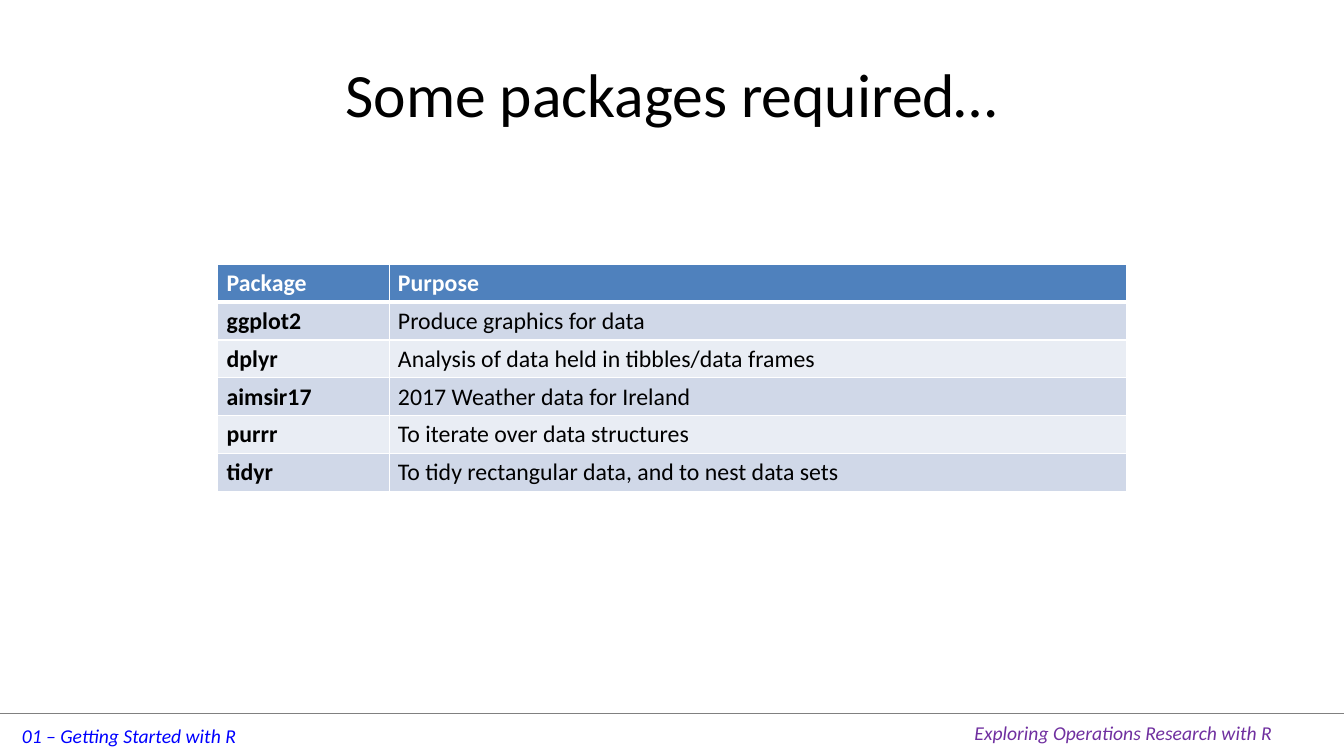
from lxml import etree
from pptx import Presentation
from pptx.dml.color import RGBColor
from pptx.enum import shapes, text
from pptx.oxml import ns
from pptx.util import Pt

WHITE, BLACK = "FFFFFF", "000000"
HEADER_FILL = "4F81BD"
BAND_FILLS = ("D0D8E8", "E9EDF4")

PACKAGES = [
    ("Package", "Purpose"),
    ("ggplot2", "Produce graphics for data"),
    ("dplyr", "Analysis of data held in tibbles/data frames"),
    ("aimsir17", "2017 Weather data for Ireland"),
    ("purrr", "To iterate over data structures"),
    ("tidyr", "To tidy rectangular data, and to nest data sets"),
]


def rgb(hex_code):
    return RGBColor.from_string(hex_code)


def write(frame, words, size, color, **formats):
    paragraph = frame.paragraphs[0]
    run = paragraph.add_run()
    run.text = words
    run.font.color.rgb = rgb(color)
    for name, value in {"name": "Calibri", "size": Pt(size), **formats}.items():
        setattr(run.font, name, value)
    return paragraph


def set_title(slide, words):
    title = slide.shapes.title
    place = {"left": 48, "top": 21.6, "width": 864, "height": 90}
    for name, value in place.items():
        setattr(title, name, Pt(value))
    title.text_frame.vertical_anchor = text.MSO_ANCHOR.MIDDLE
    heading = write(title.text_frame, words, 44, BLACK)
    heading.alignment = text.PP_ALIGN.CENTER


def add_rule(slide, y, width):
    rule = slide.shapes.add_connector(
        shapes.MSO_CONNECTOR.STRAIGHT, 0, Pt(y), Pt(width), Pt(y))
    rule.line.color.rgb = rgb("808080")
    rule.line.width = Pt(0.25)
    etree.SubElement(rule._element.spPr, ns.qn("a:effectLst"))


def add_footer(slide, left, top, width, words, color):
    footer = slide.shapes.add_textbox(Pt(left), Pt(top), Pt(width), Pt(24.5))
    footer.text_frame.word_wrap = False
    write(footer.text_frame, words, 14, color, italic=True)


def set_borders(cell, bottom):
    properties = cell._tc.get_or_add_tcPr()
    widths = {"lnL": 1, "lnR": 1, "lnT": 1, "lnB": bottom}
    for position, (side, width) in enumerate(widths.items()):
        border = etree.Element(ns.qn("a:" + side), w=str(Pt(width)))
        fill = etree.SubElement(border, ns.qn("a:solidFill"))
        etree.SubElement(fill, ns.qn("a:srgbClr"), val=WHITE)
        # Borders come before the cell's fill
        properties.insert(position, border)


def add_package_table(slide, left, top, widths, row_height):
    frame = slide.shapes.add_table(
        len(PACKAGES), len(widths), Pt(left), Pt(top),
        Pt(sum(widths)), Pt(row_height * len(PACKAGES)))
    table = frame.table
    for column, width in zip(table.columns, widths):
        column.width = Pt(width)
    margins = {"margin_left": 6.3, "margin_right": 6.3,
               "margin_top": 3.3, "margin_bottom": 3.3}
    for r, entries in enumerate(PACKAGES):
        header = r == 0
        for c, words in enumerate(entries):
            cell = table.cell(r, c)
            for name, value in margins.items():
                setattr(cell, name, Pt(value))
            cell.fill.solid()
            cell.fill.fore_color.rgb = rgb(
                HEADER_FILL if header else BAND_FILLS[(r - 1) % 2])
            set_borders(cell, bottom=3 if header else 1)
            write(cell.text_frame, words, 17, WHITE if header else BLACK,
                  bold=header or c == 0)


def main():
    deck = Presentation()
    deck.slide_width, deck.slide_height = Pt(960), Pt(540)
    slide = deck.slides.add_slide(deck.slide_layouts[5])

    # Footer
    add_rule(slide, 509.3, 960)
    add_footer(slide, 8.5, 513.5, 170, "01 – Getting Started with R", "0000FF")
    add_footer(slide, 689, 511.7, 229,
               "Exploring Operations Research with R", "7030A0")

    # Title and table
    set_title(slide, "Some packages required…")
    add_package_table(slide, 155.6, 188.8, (122.4, 527), 27)

    deck.save("out.pptx")


if __name__ == "__main__":
    main()
